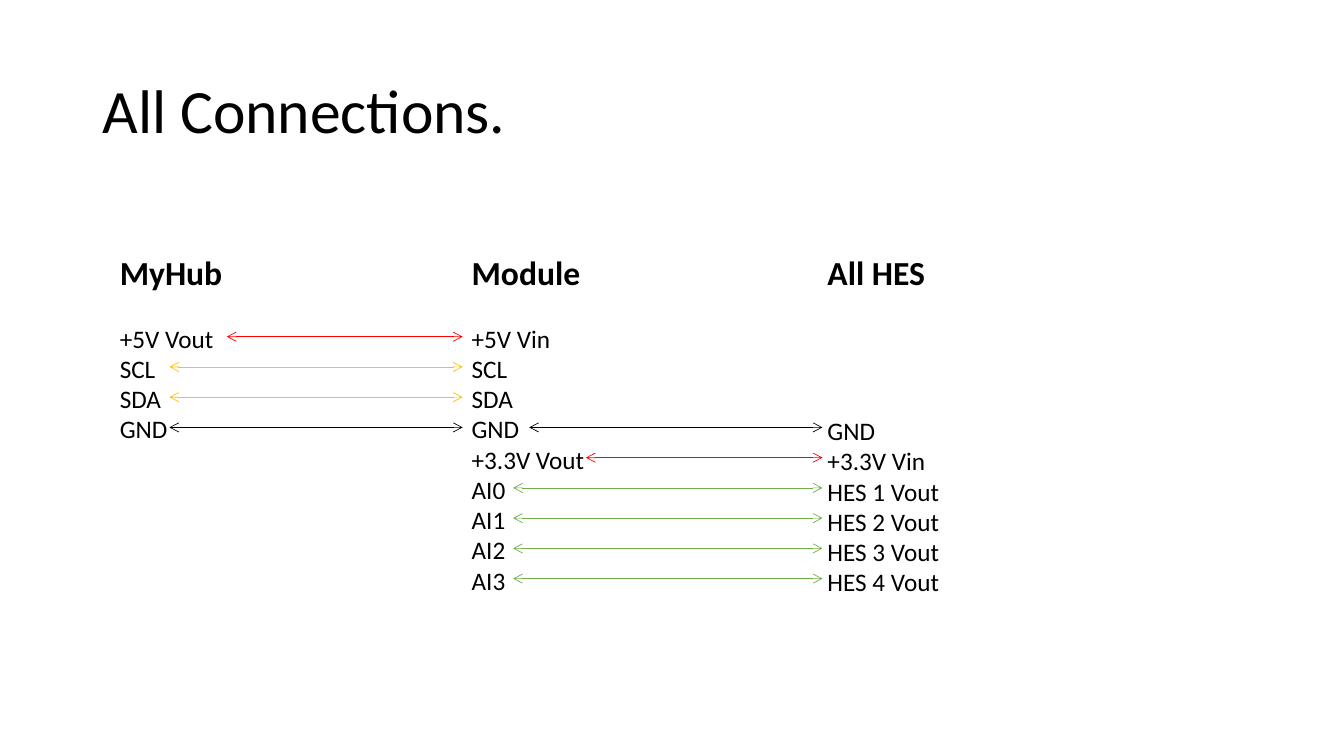
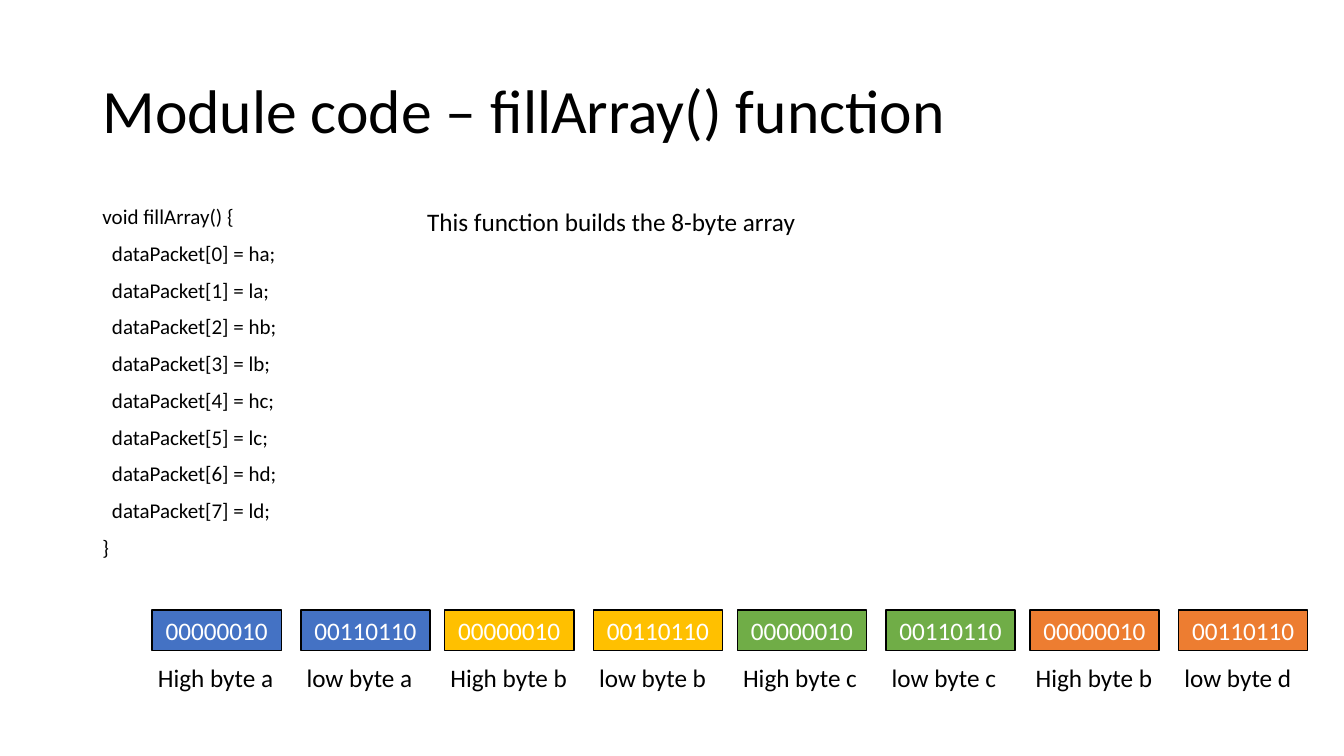
from lxml import etree
from pptx import Presentation
from pptx.dml.color import RGBColor
from pptx.enum.shapes import MSO_CONNECTOR, MSO_SHAPE
from pptx.enum.text import MSO_ANCHOR, MSO_AUTO_SIZE, PP_ALIGN
from pptx.oxml.ns import qn
from pptx.util import Pt

STRAIGHT = MSO_CONNECTOR.STRAIGHT
RECTANGLE = MSO_SHAPE.RECTANGLE
MIDDLE, TOP = MSO_ANCHOR.MIDDLE, MSO_ANCHOR.TOP
LEFT, CENTER = PP_ALIGN.LEFT, PP_ALIGN.CENTER
NO_AUTOSIZE = MSO_AUTO_SIZE.NONE

FONT = "Calibri"
BLACK, WHITE, RED = "000000", "FFFFFF", "FF0000"
BLUE, GOLD, GREEN, ORANGE = "4472C4", "FFC000", "70AD47", "ED7D31"

TITLE_BOX = (66, 28.8, 828, 104.4)
TITLE_ONLY, TITLE_AND_BODY = 5, 1

ROW_HEIGHT = 22      # one line of 18 pt text
WIRE_PITCH = 21.6


# Shared helpers
def rgb(hex_color):
    return RGBColor.from_string(hex_color)


def place(shape, box):
    shape.left, shape.top, shape.width, shape.height = map(Pt, box)


def style(paragraph, size, color=BLACK, bold=False, align=LEFT):
    paragraph.alignment = align
    font = paragraph.font
    font.name, font.size, font.bold = FONT, Pt(size), bold
    font.color.rgb = rgb(color)


def add_label(slide, text, box, size=18):
    label = slide.shapes.add_textbox(*map(Pt, box))
    label.text_frame.word_wrap = True
    label.text_frame.text = text
    style(label.text_frame.paragraphs[0], size)
    return label


def add_titled_slide(deck, layout, text):
    slide = deck.slides.add_slide(deck.slide_layouts[layout])
    title = slide.shapes.title
    place(title, TITLE_BOX)
    frame = title.text_frame
    frame.text = text
    frame.auto_size = NO_AUTOSIZE
    frame.vertical_anchor = MIDDLE
    style(frame.paragraphs[0], 44)
    frame.paragraphs[0].line_spacing = 0.9
    return slide


# Connections: pin columns and the wires between them
def add_pin_column(slide, box, heading, pins, skipped_rows=0):
    frame = add_label(slide, heading, box, 24).text_frame
    frame.paragraphs[0].font.bold = True
    for pin in pins:
        row = frame.add_paragraph()
        row.text = pin
        style(row, 18)
    # One free row under the heading, plus the rows without a pin
    frame.paragraphs[1].space_before = Pt(ROW_HEIGHT * (1 + skipped_rows))


def add_wire(slide, start, end, y, color):
    wire = slide.shapes.add_connector(STRAIGHT, Pt(start), Pt(y), Pt(end), Pt(y))
    wire.line.width = Pt(0.5)
    wire.line.color.rgb = rgb(color)
    outline = wire.line.fill._xPr
    for tip in ("a:headEnd", "a:tailEnd"):
        etree.SubElement(outline, qn(tip), type="arrow")
    etree.SubElement(outline.getparent(), qn("a:effectLst"))


def add_wires(slide, first_y, end, first_row, wires):
    for row, (start, color) in enumerate(wires, first_row):
        add_wire(slide, start, end, first_y + row * WIRE_PITCH, color)


def build_connections(deck):
    slide = add_titled_slide(deck, TITLE_ONLY, "All Connections.")
    top, width = 176.4, 108
    inputs = range(4)
    add_pin_column(slide, (78.5, top, width, 167), "MyHub",
                   ["+5V Vout", "SCL", "SDA", "GND"])
    add_pin_column(slide, (329.8, top, width, 320), "Module",
                   ["+5V Vin", "SCL", "SDA", "GND", "+3.3V Vout"]
                   + [f"AI{i}" for i in inputs])
    add_pin_column(slide, (584, top, width, 320), "All HES",
                   ["GND", "+3.3V Vin"] + [f"HES {i + 1} Vout" for i in inputs],
                   skipped_rows=3)

    first_wire = top + 64.1
    add_wires(slide, first_wire, 330.5, 0,
              [(162, RED), (121, GOLD), (121, GOLD), (121, BLACK)])
    add_wires(slide, first_wire, 587.5, 3,
              [(378, BLACK), (418.5, RED)] + [(366.5, GREEN)] * len(inputs))


# Code listing in the body placeholder
def add_code(slide, box, lines):
    listing = slide.placeholders[1]
    place(listing, box)
    frame = listing.text_frame
    frame.text = "\n".join(text for text, _ in lines)
    frame.auto_size = NO_AUTOSIZE
    frame.vertical_anchor = TOP
    for line, (_, indent) in zip(frame.paragraphs, lines):
        style(line, 15)
        line.line_spacing = 0.9
        line.space_before = Pt(10)
        properties = line._p.get_or_add_pPr()
        properties.set("marL", str(Pt(indent)))
        properties.set("indent", "0")
        bullet_off = etree.Element(qn("a:buNone"))
        properties.find(qn("a:defRPr")).addprevious(bullet_off)


# One byte with its label below
def add_byte(slide, left, top, bits, color, name):
    cell = slide.shapes.add_shape(RECTANGLE, Pt(left), Pt(top), Pt(92.2), Pt(29))
    cell.shadow.inherit = False
    cell.fill.solid()
    cell.fill.fore_color.rgb = rgb(color)
    cell.line.color.rgb = rgb(BLACK)
    cell.line.width = Pt(1)
    frame = cell.text_frame
    frame.text = bits
    frame.vertical_anchor = MIDDLE
    style(frame.paragraphs[0], 18, WHITE, align=CENTER)
    add_label(slide, name, (left - 3, top + 33.8, 108, 29))


def add_packet(slide, left, top, pairs):
    for i, (color, high_name, low_name) in enumerate(pairs):
        pair_left = left + i * 209
        add_byte(slide, pair_left, top, "00000010", color, high_name)
        add_byte(slide, pair_left + 106.2, top, "00110110", color, low_name)


def build_fill_array(deck):
    slide = add_titled_slide(deck, TITLE_AND_BODY,
                             "Module code – fillArray() function")
    sources = [half + channel for channel in "abcd" for half in "hl"]
    assignments = [(f"dataPacket[{i}] = {source};", 6.8)
                   for i, source in enumerate(sources)]
    add_code(slide, (66, 144, 366, 342.7),
             [("void fillArray() {", 0)] + assignments + [("}", 0)])
    add_label(slide, "This function builds the 8-byte array", (298, 144, 285, 29))
    add_packet(slide, 108.7, 435.6, [
        (BLUE, "High byte a", "low byte a"),
        (GOLD, "High byte b", "low byte b"),
        (GREEN, "High byte c", "low byte c"),
        (ORANGE, "High byte b", "low byte d"),
    ])


deck = Presentation()
deck.slide_width, deck.slide_height = Pt(960), Pt(540)
build_connections(deck)
build_fill_array(deck)
deck.save("out.pptx")
